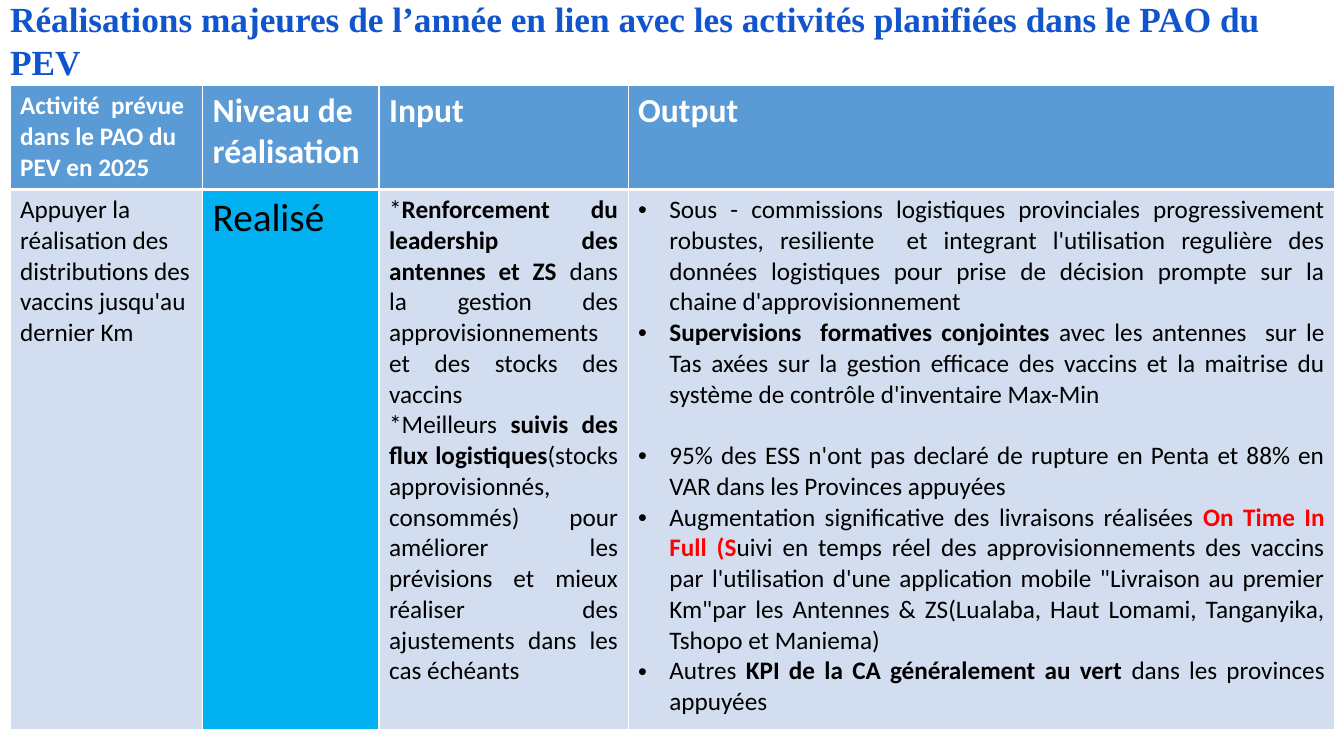
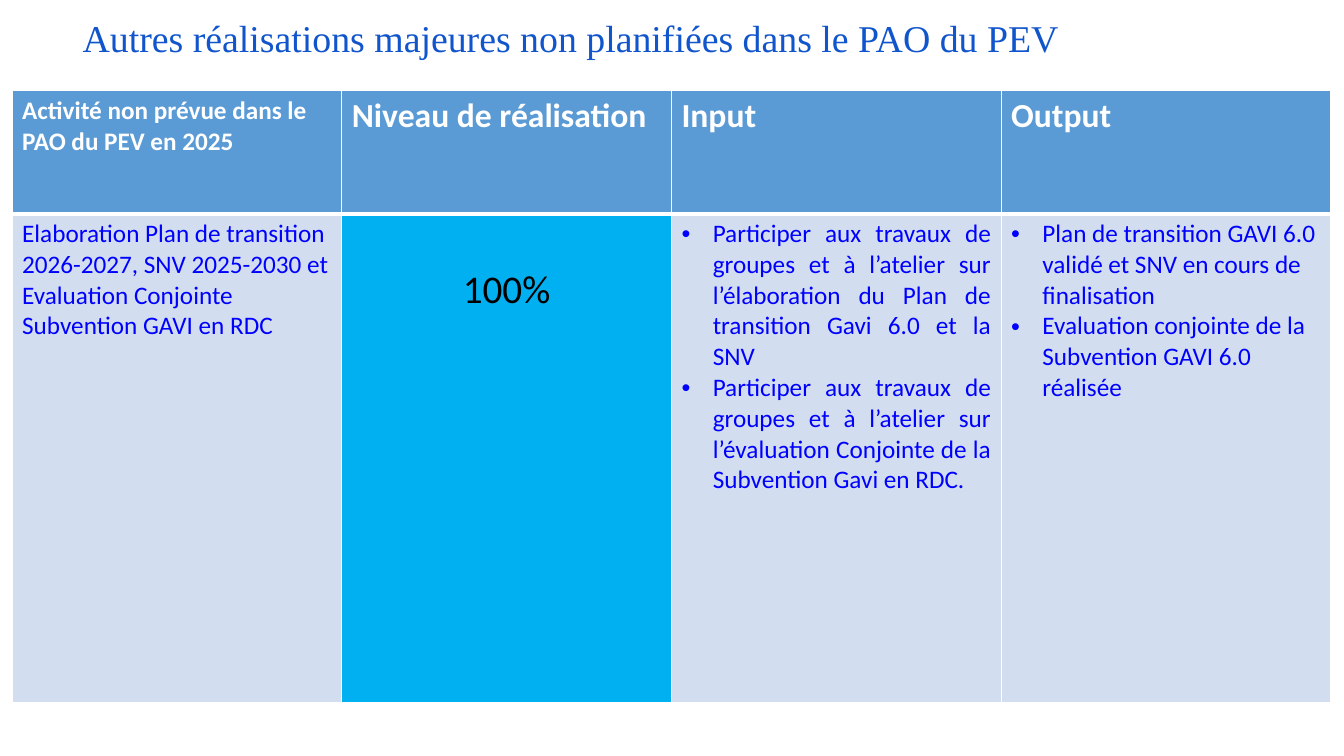
from lxml import etree
from pptx import Presentation
from pptx.dml.color import RGBColor
from pptx.enum.text import MSO_ANCHOR, MSO_AUTO_SIZE, PP_ALIGN
from pptx.oxml.ns import qn
from pptx.util import Inches, Pt

LEFT, CENTER, JUSTIFY = PP_ALIGN.LEFT, PP_ALIGN.CENTER, PP_ALIGN.JUSTIFY
MIDDLE = MSO_ANCHOR.MIDDLE
NO_FIT = MSO_AUTO_SIZE.NONE
TITLE_ONLY = 5

COLORS = {
    "title": "1155CC", "header": "5B9BD5", "body": "D2DEEF", "status": "00B0F0",
    "white": "FFFFFF", "black": "000000", "blue": "0000FF", "red": "FF0000",
}
TITLE_FONT, TABLE_FONT = "Times New Roman", "Calibri"
HEADER_SIZES = (18, 24, 24, 24)
BODY_SIZES = (18, 28, 18, 18)
BULLET_INDENT = 0.31
THIN, THICK = 1, 3

# Content: a cell is a list of paragraphs, a paragraph a list of (text, style) runs
PLAIN, BOLD, ALERT = "plain", "bold", "alert"

SLIDES = [
    {
        "title": "Réalisations majeures de l’année en lien avec les activités "
                 "planifiées dans le PAO du PEV",
        "title_box": (0, 0.12, 13.33, 0.55), "title_size": 25.2,
        "title_bold": True, "title_spacing": 1.0,
        "table_at": (0.1, 0.85), "columns": (1.91, 1.75, 2.47, 7.01),
        "rows": (1.03, 5.36), "color": "black", "status_color": "black",
        "headers": ("Activité  prévue dans le PAO du PEV en 2025",
                    "Niveau de réalisation", "Input", "Output"),
        "cells": [
            {"paragraphs": [[("Appuyer la réalisation des distributions des vaccins "
                              "jusqu'au dernier Km", PLAIN)]]},
            {"paragraphs": [[("Realisé", PLAIN)]]},
            {"align": JUSTIFY, "paragraphs": [
                [("*", PLAIN),
                 ("Renforcement du leadership des antennes et ZS ", BOLD),
                 ("dans la gestion des approvisionnements et des stocks des vaccins ",
                  PLAIN)],
                [("*Meilleurs ", PLAIN),
                 ("suivis des flux logistiques", BOLD),
                 ("(stocks approvisionnés, consommés) pour améliorer les prévisions et "
                  "mieux réaliser des ajustements dans les cas échéants", PLAIN)],
            ]},
            {"align": JUSTIFY, "bullets": True, "space_before": {2: 22}, "paragraphs": [
                [("Sous - commissions logistiques provinciales progressivement robustes, "
                  "resiliente  et integrant l'utilisation regulière des données "
                  "logistiques pour prise de décision prompte sur la chaine "
                  "d'approvisionnement", PLAIN)],
                [("Supervisions  formatives conjointes ", BOLD),
                 ("avec les antennes  sur le Tas axées sur la gestion efficace des "
                  "vaccins et la maitrise du système de contrôle d'inventaire Max-Min",
                  PLAIN)],
                [("95% des ESS n'ont pas declaré de rupture en Penta et 88% en VAR dans "
                  "les Provinces appuyées", PLAIN)],
                [("Augmentation significative des livraisons réalisées ", PLAIN),
                 ("On Time In Full (S", ALERT),
                 ("uivi en temps réel des approvisionnements des vaccins par "
                  "l'utilisation d'une application mobile \"Livraison au premier Km\"par "
                  "les Antennes & ZS(Lualaba, Haut Lomami, Tanganyika, Tshopo et "
                  "Maniema)", PLAIN)],
                [("Autres ", PLAIN),
                 ("KPI de la CA généralement au vert ", BOLD),
                 ("dans les provinces appuyées", PLAIN)],
            ]},
        ],
    },
    {
        "title": "Autres réalisations majeures non planifiées dans le PAO du PEV",
        "title_box": (0.72, 0.12, 11.5, 0.55), "title_size": 27,
        "title_bold": False, "title_spacing": 0.9,
        "table_at": (0.12, 0.9), "columns": (3.27,) * 4,
        "rows": (1.22, 4.85), "color": "blue", "status_color": "black",
        "headers": ("Activité non prévue dans le PAO du PEV en 2025",
                    "Niveau de réalisation", "Input", "Output"),
        "cells": [
            {"paragraphs": [[("Elaboration Plan de transition 2026-2027, SNV 2025-2030 et "
                              "Evaluation Conjointe Subvention GAVI en RDC", PLAIN)]]},
            {"align": CENTER, "margin_top": 0.52, "paragraphs": [[("100%", PLAIN)]]},
            {"align": JUSTIFY, "bullets": True, "paragraphs": [
                [("Participer aux travaux de groupes et à l’atelier sur l’élaboration du "
                  "Plan de transition Gavi 6.0 et la SNV ", PLAIN)],
                [("Participer aux travaux de groupes et à l’atelier sur l’évaluation "
                  "Conjointe de la Subvention Gavi en RDC.", PLAIN)],
            ]},
            {"bullets": True, "paragraphs": [
                [("Plan de transition GAVI 6.0 validé et SNV en cours de finalisation",
                  PLAIN)],
                [("Evaluation conjointe de la Subvention GAVI 6.0 réalisée", PLAIN)],
            ]},
        ],
    },
]


def rgb(name):
    return RGBColor.from_string(COLORS[name])


def add_run(paragraph, text, font_name, size, color, bold):
    run = paragraph.add_run()
    run.text = text
    run.font.name = font_name
    run.font.size = Pt(size)
    run.font.bold = bold
    run.font.color.rgb = rgb(color)


def add_bullet(paragraph):
    properties = paragraph._p.get_or_add_pPr()
    properties.set("marL", str(Inches(BULLET_INDENT)))
    properties.set("indent", str(-Inches(BULLET_INDENT)))
    etree.SubElement(properties, qn("a:buFont")).set("typeface", "Arial")
    etree.SubElement(properties, qn("a:buChar")).set("char", "•")


def set_borders(cell, top, bottom):
    """Borders come before the fill in the cell properties."""
    properties = cell._tc.get_or_add_tcPr()
    edges = (("a:lnL", THIN), ("a:lnR", THIN), ("a:lnT", top), ("a:lnB", bottom))
    for position, (tag, width) in enumerate(edges):
        line = etree.Element(qn(tag), w=str(Pt(width)))
        fill = etree.SubElement(line, qn("a:solidFill"))
        etree.SubElement(fill, qn("a:srgbClr")).set("val", COLORS["white"])
        properties.insert(position, line)


def fill_cell(cell, content, size, color, fill, bold=False):
    cell.fill.solid()
    cell.fill.fore_color.rgb = rgb(fill)
    if "margin_top" in content:
        cell.margin_top = Inches(content["margin_top"])
    frame = cell.text_frame
    for index, runs in enumerate(content["paragraphs"]):
        paragraph = frame.add_paragraph() if index else frame.paragraphs[0]
        if content.get("bullets"):
            add_bullet(paragraph)
        paragraph.alignment = content.get("align", LEFT)
        space = content.get("space_before", {}).get(index)
        if space:
            paragraph.space_before = Pt(space)
        for text, style in runs:
            add_run(paragraph, text, TABLE_FONT, size,
                    "red" if style == ALERT else color, bold or style != PLAIN)


def add_title(slide, data):
    title = slide.shapes.title
    title.left, title.top, title.width, title.height = map(Inches, data["title_box"])
    frame = title.text_frame
    frame.word_wrap = True
    frame.auto_size = NO_FIT
    frame.vertical_anchor = MIDDLE
    paragraph = frame.paragraphs[0]
    paragraph.alignment = LEFT
    paragraph.line_spacing = data["title_spacing"]
    add_run(paragraph, data["title"], TITLE_FONT, data["title_size"], "title",
            data["title_bold"])


def add_results_table(slide, data):
    columns, rows = data["columns"], data["rows"]
    left, top = data["table_at"]
    table = slide.shapes.add_table(
        len(rows), len(columns), Inches(left), Inches(top),
        Inches(sum(columns)), Inches(sum(rows))).table
    table.horz_banding = False
    for row, height in zip(table.rows, rows):
        row.height = Inches(height)
    for index, width in enumerate(columns):
        table.columns[index].width = Inches(width)
        header, body = table.cell(0, index), table.cell(1, index)
        heading = {"paragraphs": [[(data["headers"][index], PLAIN)]]}
        fill_cell(header, heading, HEADER_SIZES[index], "white", "header", bold=True)
        is_status = index == 1
        fill_cell(body, data["cells"][index], BODY_SIZES[index],
                  data["status_color"] if is_status else data["color"],
                  "status" if is_status else "body")
        set_borders(header, THIN, THICK)
        set_borders(body, THICK, THIN)


def main():
    presentation = Presentation()
    presentation.slide_width = Inches(13.33)
    presentation.slide_height = Inches(7.5)
    for data in SLIDES:
        slide = presentation.slides.add_slide(presentation.slide_layouts[TITLE_ONLY])
        add_title(slide, data)
        add_results_table(slide, data)
    presentation.save("out.pptx")


if __name__ == "__main__":
    main()
